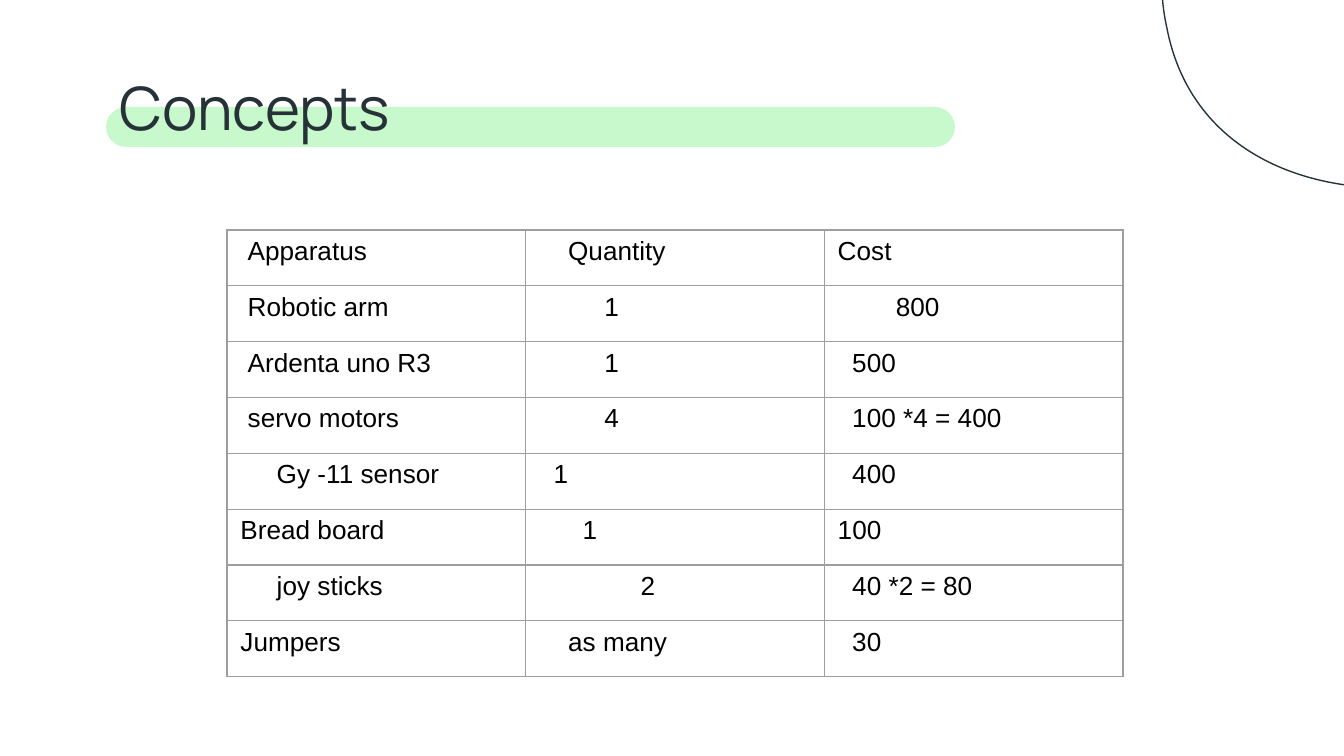
from lxml import etree
from pptx import Presentation
from pptx import util as u
from pptx.dml.color import RGBColor
from pptx.enum import shapes, text
from pptx.oxml import ns

PX = 914400 / 134.4  # EMU per px
SPACE = u.Pt(3.89)  # width of one space in the table text

WHITE = RGBColor(0xFF, 0xFF, 0xFF)
BLACK = RGBColor(0x00, 0x00, 0x00)
INK = RGBColor(0x26, 0x32, 0x38)
MINT = RGBColor(0xC7, 0xF9, 0xCC)
GRID = RGBColor(0x9E, 0x9E, 0x9E)

# Each cell: indent in spaces, wording
APPARATUS = [
    [(1, "Apparatus"), (4, "Quantity"), (0, "Cost")],
    [(1, "Robotic arm"), (9, "1"), (8, "800")],
    [(1, "Ardenta uno R3"), (9, "1"), (2, "500")],
    [(1, "servo motors"), (9, "4"), (2, "100 *4 = 400")],
    [(5, "Gy -11 sensor"), (2, "1"), (2, "400")],
    [(0, "Bread board"), (6, "1"), (0, "100")],
    [(5, "joy sticks"), (14, "2"), (2, "40 *2 = 80")],
    [(0, "Jumpers"), (4, "as many"), (2, "30")],
]

BLOB_START = (1628, -249)
# Each curve: two control points, end point
BLOB_CURVES = [
    [(1617, -249), (1603, -245), (1590, -238)],
    [(1538, -211), (1534, -152), (1462, -149)],
    [(1456, -148), (1449, -148), (1442, -148)],
    [(1409, -148), (1376, -152), (1347, -152)],
    [(1310, -152), (1274, -147), (1234, -125)],
    [(1167, -89), (1153, -35), (1167, 28)],
    [(1188, 137), (1282, 188), (1390, 188)],
    [(1437, 188), (1485, 179), (1531, 161)],
    [(1679, 105), (1747, -27), (1714, -157)],
    [(1704, -197), (1676, -249), BLOB_START],
]


def px(*lengths):
    return [round(length * PX) for length in lengths]


def add_run(paragraph, wording, font, size, colour):
    run = paragraph.add_run()
    run.text = wording
    run.font.name = font
    run.font.size = u.Pt(size)
    run.font.color.rgb = colour


def add_highlight(slide):
    pill = slide.shapes.add_shape(
        shapes.MSO_SHAPE.ROUNDED_RECTANGLE, *px(106, 107, 849, 40))
    pill.adjustments[0] = 0.5
    pill.shadow.inherit = False
    pill.fill.solid()
    pill.fill.fore_color.rgb = MINT
    pill.line.fill.background()


def curve_outline(freeform):
    """Turn every three straight segments into one cubic curve and close."""
    outline = freeform._element.find(".//" + ns.qn("a:path"))
    segments = outline.findall(ns.qn("a:lnTo"))
    for first in range(0, len(segments), 3):
        curve = etree.SubElement(outline, ns.qn("a:cubicBezTo"))
        for segment in segments[first:first + 3]:
            curve.append(segment[0])
            outline.remove(segment)
    etree.SubElement(outline, ns.qn("a:close"))


def add_blob(slide):
    builder = slide.shapes.build_freeform(*px(*BLOB_START), scale=1.0)
    points = [px(*point) for curve in BLOB_CURVES for point in curve]
    builder.add_line_segments(points, close=False)
    blob = builder.convert_to_shape()
    curve_outline(blob)
    blob.shadow.inherit = False
    blob.fill.background()
    blob.line.color.rgb = INK
    blob.line.width = u.Pt(0.75)


def set_title(slide, wording):
    """Fill the title placeholder and bring it in front of the highlight."""
    title = slide.shapes.title
    title.left, title.top, title.width, title.height = px(106, 57, 1133, 90)
    frame = title.text_frame
    frame.word_wrap = True
    frame.auto_size = text.MSO_AUTO_SIZE.NONE
    frame.vertical_anchor = text.MSO_ANCHOR.TOP
    frame.margin_left = frame.margin_right = u.Inches(0.1)
    frame.margin_top = frame.margin_bottom = u.Inches(0.1)
    paragraph = frame.paragraphs[0]
    paragraph.alignment = text.PP_ALIGN.LEFT
    add_run(paragraph, wording, "Manrope", 32, INK)
    slide.shapes._spTree.append(title._element)


def set_borders(cell):
    properties = cell._tc.get_or_add_tcPr()
    for side in ("a:lnL", "a:lnR", "a:lnT", "a:lnB"):
        border = etree.SubElement(properties, ns.qn(side), w=str(u.Pt(0.75)))
        fill = etree.SubElement(border, ns.qn("a:solidFill"))
        etree.SubElement(fill, ns.qn("a:srgbClr"), val=str(GRID))


def fill_cell(cell, indent, wording):
    set_borders(cell)
    cell.fill.background()
    paragraph = cell.text_frame.paragraphs[0]
    if indent:
        paragraph._p.get_or_add_pPr().set("marL", str(indent * SPACE))
    add_run(paragraph, wording, "Arial", 14, BLACK)


def add_apparatus_table(slide):
    table = slide.shapes.add_table(
        len(APPARATUS), len(APPARATUS[0]), *px(227, 230, 896, 447)).table
    table.first_row = table.horz_banding = False
    for row, entries in enumerate(APPARATUS):
        for column, (indent, wording) in enumerate(entries):
            fill_cell(table.cell(row, column), indent, wording)


def main():
    deck = Presentation()
    deck.slide_width, deck.slide_height = px(1344, 756)
    slide = deck.slides.add_slide(deck.slide_layouts[5])
    slide.background.fill.solid()
    slide.background.fill.fore_color.rgb = WHITE
    add_highlight(slide)
    add_blob(slide)
    set_title(slide, "Concepts")
    add_apparatus_table(slide)
    deck.save("out.pptx")


if __name__ == "__main__":
    main()
